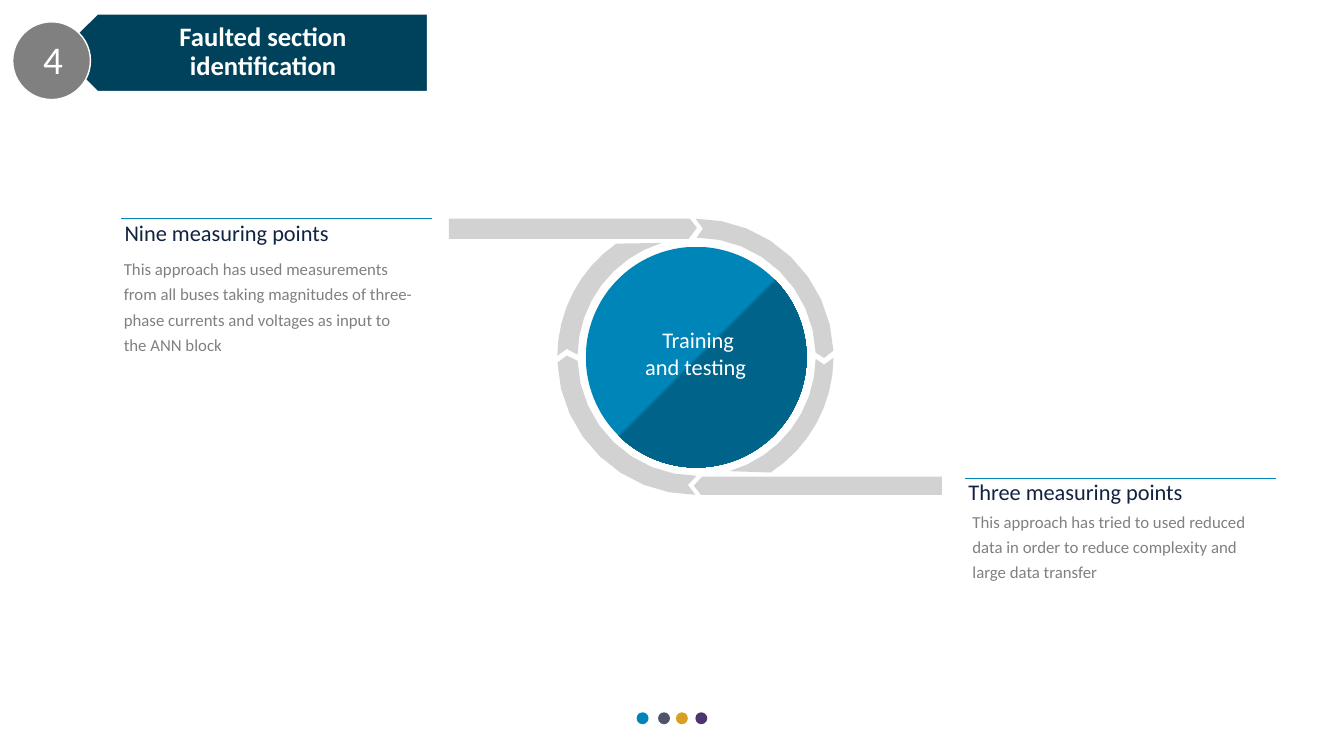
"""Build the slide on faulted section identification."""
from dataclasses import dataclass
from math import cos, radians, sin

from lxml import etree
from pptx import Presentation
from pptx.dml.color import RGBColor
from pptx.enum.shapes import MSO_CONNECTOR, MSO_SHAPE
from pptx.enum.text import MSO_ANCHOR, MSO_AUTO_SIZE, PP_ALIGN
from pptx.oxml.ns import qn
from pptx.shapes.autoshape import Shape
from pptx.slide import Slide
from pptx.util import Cm, Pt

STRAIGHT = MSO_CONNECTOR.STRAIGHT
ELLIPSE = MSO_SHAPE.OVAL
TOP, MIDDLE = MSO_ANCHOR.TOP, MSO_ANCHOR.MIDDLE
NO_AUTOFIT = MSO_AUTO_SIZE.NONE
LEFT, CENTER = PP_ALIGN.LEFT, PP_ALIGN.CENTER

COLORS = {
    "blue": "0085B8", "deep_blue": "00648A", "slate": "4D546B", "gold": "D8A023",
    "purple": "4E3470", "ring": "A6A6A6", "gray": "808080", "navy": "11233F",
    "banner": "00425C", "white": "FFFFFF",
}
RING_CENTER = (17.52, 8.99)
OUTER_RADIUS, INNER_RADIUS = 3.48, 3.0
CALLOUT_WIDTH, HEADING_HEIGHT = 7.85, 0.61

Point = tuple[float, float]
Box = tuple[float, float, float, float]


@dataclass(frozen=True)
class TextStyle:
    """Look of one text block."""
    size: float
    color: str
    alignment: PP_ALIGN = LEFT
    line_spacing: float | Pt = 1.0
    bold: bool = False
    anchor: MSO_ANCHOR = TOP
    insets: Box = (0.2, 0.1, 0.2, 0.1)


@dataclass(frozen=True)
class Callout:
    """Ruled heading with a description below it."""
    left: float
    rule_top: float
    heading_top: float
    heading: str
    body_box: Box
    body: str


@dataclass(frozen=True)
class HalfRing:
    """One half of the ring, as drawn or under a half turn."""
    turn: int
    inner_shift: float
    bar_edge: float
    outer_end: float
    inner_end: float


@dataclass(frozen=True)
class Dot:
    """Small coloured dot at the foot of the slide."""
    left: float
    color: str


TITLE = TextStyle(19, "white", CENTER, 0.9, True, MIDDLE, (1.35, 0.2, 0.38, 0.2))
NUMBER = TextStyle(28, "white", CENTER)
HUB = TextStyle(16, "white", CENTER)
HEADING = TextStyle(16, "navy", line_spacing=0.9, insets=(0.1, 0.1, 0.1, 0.1))
BODY = TextStyle(12, "gray", line_spacing=Pt(18))

DOTS = [Dot(16.04, "blue"), Dot(16.58, "slate"), Dot(17.03, "gold"), Dot(17.52, "purple")]
HALF_RINGS = [HalfRing(1, 0.03, 2.97, 57, 74), HalfRing(-1, -0.03, 3.02, 55, 73)]
CALLOUTS = [
    Callout(3.04, 5.5, 5.51, "Nine measuring points", (2.92, 6.3, 7.77, 2.72),
            "This approach has used measurements from all buses taking magnitudes of "
            "three-phase currents and voltages as input to the ANN block"),
    Callout(24.3, 12.05, 12.02, "Three measuring points", (24.3, 12.67, 7.77, 2.08),
            "This approach has tried to used reduced data in order to reduce complexity "
            "and large data transfer"),
]
BANNER_BOX = (1.49, 0.35, 9.3, 1.95)
BANNER_OUTLINE = [(10.77, 2.31), (2.46, 2.31), (1.47, 1.32), (2.46, 0.35), (10.77, 0.35)]


def rgb(name: str) -> RGBColor:
    """Return a named colour."""
    return RGBColor.from_string(COLORS[name])


def arc(radius: float, start: float, end: float, shift: float = 0) -> list[Point]:
    """Return points on an arc, with angles in degrees running clockwise."""
    steps = 8
    angles = [radians(start + (end - start) * step / steps) for step in range(steps + 1)]
    return [(shift + radius * cos(angle), radius * sin(angle)) for angle in angles]


def write_text(shape: Shape, text: str, style: TextStyle) -> None:
    """Fill a shape with one styled paragraph."""
    frame = shape.text_frame
    sides = ("margin_left", "margin_top", "margin_right", "margin_bottom")
    frame_format = {"word_wrap": True, "auto_size": NO_AUTOFIT,
                    "vertical_anchor": style.anchor,
                    **{side: Cm(inset) for side, inset in zip(sides, style.insets)}}
    for name, value in frame_format.items():
        setattr(frame, name, value)
    paragraph = frame.paragraphs[0]
    paragraph.alignment = style.alignment
    paragraph.line_spacing = style.line_spacing
    run = paragraph.add_run()
    run.text = text
    font_format = {"name": "Calibri", "size": Pt(style.size), "bold": style.bold}
    for name, value in font_format.items():
        setattr(run.font, name, value)
    run.font.color.rgb = rgb(style.color)


def add_text(slide: Slide, box: Box, text: str, style: TextStyle) -> None:
    """Add a text box."""
    write_text(slide.shapes.add_textbox(*map(Cm, box)), text, style)


def paint(shape: Shape, fill: str | None, line: str | None = None) -> None:
    """Give a shape an optional plain fill and an optional outline."""
    shape.shadow.inherit = False
    for part, color in ((shape.fill, fill), (shape.line.fill, line)):
        if color:
            part.solid()
            part.fore_color.rgb = rgb(color)
        else:
            part.background()
    if line:
        shape.line.width = Pt(1)


def add_circle(slide: Slide, left: float, top: float, size: float,
               fill: str, line: str | None = None) -> Shape:
    """Add a filled circle."""
    circle = slide.shapes.add_shape(ELLIPSE, Cm(left), Cm(top), Cm(size), Cm(size))
    paint(circle, fill, line)
    return circle


def add_outline(slide: Slide, points: list[Point], fill: str | None,
                line: str | None = None) -> Shape:
    """Add a closed freeform through the points."""
    start, *others = [(Cm(x), Cm(y)) for x, y in points]
    builder = slide.shapes.build_freeform(*start)
    builder.add_line_segments(others, close=True)
    shape = builder.convert_to_shape()
    paint(shape, fill, line)
    return shape


def add_half_ring(slide: Slide, half: HalfRing) -> None:
    """Draw two arcs and a bar of the ring."""
    upper_arc = (arc(OUTER_RADIUS, -90, -2.5) + [(3.24, 0.03)]
                 + arc(INNER_RADIUS, -2, -90, half.inner_shift) + [(0.19, -3.23)])
    lower_arc = (arc(OUTER_RADIUS, 0.4, half.outer_end)
                 + arc(INNER_RADIUS, half.inner_end, 1, half.inner_shift) + [(3.24, 0.2)])
    bar = [(-0.14, -3.48), (-6.21, -3.48), (-6.21, -half.bar_edge),
           (-0.17, -half.bar_edge), (0.04, -3.25)]
    center_x, center_y = RING_CENTER
    for part in (upper_arc, lower_arc, bar):
        points = [(center_x + half.turn * x, center_y + half.turn * y) for x, y in part]
        shape = add_outline(slide, points, "ring")
        color = shape.element.spPr.find(qn("a:solidFill"))[0]
        etree.SubElement(color, qn("a:alpha"), val="50000")


def add_hub(slide: Slide) -> None:
    """Draw the two-tone disc and its label."""
    hub = add_circle(slide, 14.76, 6.22, 5.56, "blue")
    hub.fill.gradient()
    hub.fill.gradient_angle = 315
    tones = ((0.5, "blue"), (0.51, "deep_blue"))
    for stop, (position, color) in zip(hub.fill.gradient_stops, tones):
        stop.position = position
        stop.color.rgb = rgb(color)
    add_text(slide, (16.05, 8.13, 3.08, 1.57), "Training and testing ", HUB)


def add_callout(slide: Slide, callout: Callout) -> None:
    """Draw a rule, its heading and the description."""
    left, right = callout.left, callout.left + CALLOUT_WIDTH
    top, bottom = callout.heading_top, callout.heading_top + HEADING_HEIGHT
    rule = slide.shapes.add_connector(
        STRAIGHT, Cm(left), Cm(callout.rule_top), Cm(right), Cm(callout.rule_top))
    rule.line.color.rgb = rgb("blue")
    rule.line.width = Pt(1)
    etree.SubElement(rule.element.spPr, qn("a:effectLst"))
    corners = [(left, top), (right, top), (right, bottom), (left, bottom)]
    write_text(add_outline(slide, corners, None), callout.heading, HEADING)
    add_text(slide, callout.body_box, callout.body, BODY)


def add_banner(slide: Slide) -> None:
    """Draw the banner with the title on it and the section number."""
    banner = add_outline(slide, BANNER_OUTLINE, "banner", "white")
    title = slide.shapes.title
    for name, value in zip(("left", "top", "width", "height"), BANNER_BOX):
        setattr(title, name, Cm(value))
    write_text(title, "Faulted section identification", TITLE)
    banner.element.addnext(title.element)
    add_circle(slide, 0.32, 0.55, 1.96, "gray", "white")
    add_text(slide, (0, 0.8, 2.67, 1.4), "4", NUMBER)


def main() -> None:
    """Build and save the presentation."""
    presentation = Presentation()
    presentation.slide_width, presentation.slide_height = Cm(33.86), Cm(19.05)
    slide = presentation.slides.add_slide(presentation.slide_layouts[5])
    for dot in DOTS:
        add_circle(slide, dot.left, 17.95, 0.3, dot.color)
    for half in HALF_RINGS:
        add_half_ring(slide, half)
    add_hub(slide)
    for callout in CALLOUTS:
        add_callout(slide, callout)
    add_banner(slide)
    presentation.save("out.pptx")


if __name__ == "__main__":
    main()
